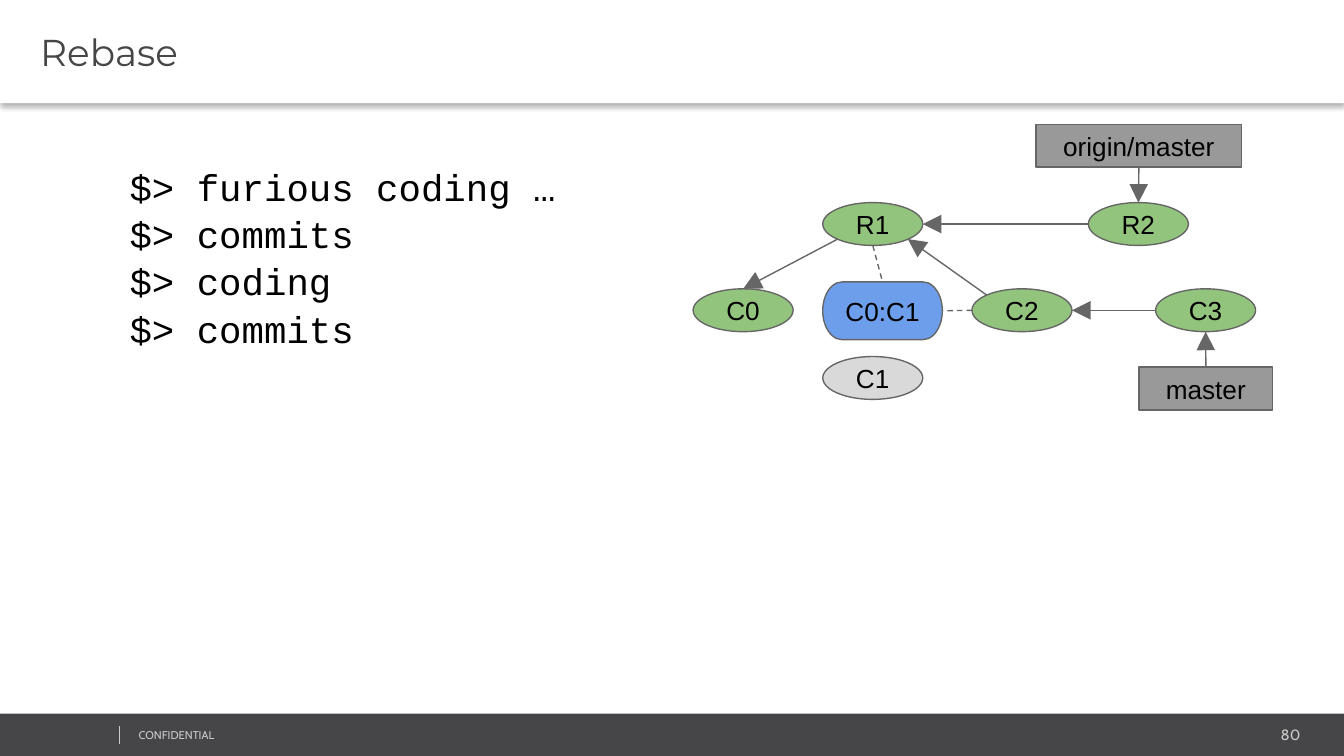
from lxml import etree
from pptx import Presentation
from pptx.dml.color import RGBColor
from pptx.enum.dml import MSO_LINE
from pptx.enum.shapes import MSO_CONNECTOR, MSO_SHAPE
from pptx.enum.text import MSO_ANCHOR, MSO_AUTO_SIZE, PP_ALIGN
from pptx.oxml.ns import qn
from pptx.util import Cm, Pt

LEFT, CENTER, RIGHT = PP_ALIGN.LEFT, PP_ALIGN.CENTER, PP_ALIGN.RIGHT
TOP, MIDDLE = MSO_ANCHOR.TOP, MSO_ANCHOR.MIDDLE
OVAL, BOX, TERMINATOR = MSO_SHAPE.OVAL, MSO_SHAPE.RECTANGLE, MSO_SHAPE.FLOWCHART_TERMINATOR
STRAIGHT, DASH, NO_FIT = MSO_CONNECTOR.STRAIGHT, MSO_LINE.DASH, MSO_AUTO_SIZE.NONE
TITLE_ONLY = 5

COLORS = {
    "white": "FFFFFF", "black": "000000", "dark": "464547", "muted": "CCCCCC",
    "outline": "666666", "commit": "93C47D", "dropped": "D9D9D9",
    "branch": "999999", "squash": "6D9EEB",
}
SITES = {
    "top": (0.5, 0), "bottom": (0.5, 1), "left": (0, 0.5), "right": (1, 0.5),
    "top left": (0.15, 0.15), "bottom left": (0.15, 0.85), "bottom right": (0.85, 0.85),
}
COMMIT_SIZE = (1.89, 0.81)
UPPER_ROW, LOWER_ROW = 3.83, 5.46
NODES = {
    "C0": ("С0", OVAL, "commit", 13.1, LOWER_ROW, *COMMIT_SIZE),
    "C1": ("С1", OVAL, "dropped", 15.55, 6.74, *COMMIT_SIZE),
    "R1": ("R1", OVAL, "commit", 15.55, UPPER_ROW, *COMMIT_SIZE),
    "C2": ("С2", OVAL, "commit", 18.37, LOWER_ROW, *COMMIT_SIZE),
    "R2": ("R2", OVAL, "commit", 20.57, UPPER_ROW, *COMMIT_SIZE),
    "C3": ("С3", OVAL, "commit", 21.84, LOWER_ROW, *COMMIT_SIZE),
    "master": ("master", BOX, "branch", 21.53, 6.94, 2.52, 0.81),
    "origin": ("origin/master", BOX, "branch", 19.58, 2.35, 3.89, 0.81),
    "squash": ("C0:C1", TERMINATOR, "squash", 15.55, 5.33, 2.26, 1.09),
}
ARROWS = [
    ("R1", "bottom left", "C0", "top"),
    ("C2", "top left", "R1", "bottom right"),
    ("origin", "bottom", "R2", "top"),
    ("R2", "left", "R1", "right"),
    ("master", "top", "C3", "bottom"),
    ("C3", "left", "C2", "right"),
]
DASHED_LINKS = [("R1", "bottom", "squash", "top"), ("C2", "left", "squash", "right")]
COMMANDS = ["$> furious coding …", "$> commits", "$> coding", "$> commits"]


def rgb(name):
    return RGBColor.from_string(COLORS[name])


class SlideBuilder:
    """Holds the style and the current slide, and adds each kind of element."""

    def __init__(self, slide):
        self.slide = slide

    def set_text(self, shape, lines, font, size, color, align, anchor, margins, spacing=None):
        frame = shape.text_frame
        frame.word_wrap = True
        frame.auto_size = NO_FIT
        frame.vertical_anchor = anchor
        left, top, right, bottom = margins
        frame.margin_left, frame.margin_right = Cm(left), Cm(right)
        frame.margin_top, frame.margin_bottom = Cm(top), Cm(bottom)
        for index, line in enumerate(lines):
            paragraph = frame.add_paragraph() if index else frame.paragraphs[0]
            paragraph.text = line
            paragraph.alignment = align
            paragraph.line_spacing = spacing
            paragraph.font.name = font
            paragraph.font.size = Pt(size)
            paragraph.font.color.rgb = rgb(color)

    def title(self, text):
        title = self.slide.shapes.title
        title.left, title.top, title.width, title.height = Cm(0), Cm(0), Cm(25.4), Cm(1.95)
        title.fill.solid()
        title.fill.fore_color.rgb = rgb("white")
        effects = etree.SubElement(title._element.spPr, qn("a:effectLst"))
        shadow = etree.SubElement(effects, qn("a:outerShdw"), blurRad=str(Pt(3.1)),
                                  dist=str(Pt(2)), dir="5400000", algn="t", rotWithShape="0")
        color = etree.SubElement(shadow, qn("a:srgbClr"), val=COLORS["black"])
        etree.SubElement(color, qn("a:alpha"), val="30000")
        self.set_text(title, [text], "Montserrat", 20, "dark", LEFT, MIDDLE,
                      (0.76, 0.1, 0.18, 0.1))

    def text(self, lines, left, top, width, height, **style):
        box = self.slide.shapes.add_textbox(Cm(left), Cm(top), Cm(width), Cm(height))
        self.set_text(box, lines, anchor=TOP, **style)

    def shape(self, kind, fill, left, top, width, height, outline=None):
        shape = self.slide.shapes.add_shape(kind, Cm(left), Cm(top), Cm(width), Cm(height))
        shape.shadow.inherit = False
        shape.fill.solid()
        shape.fill.fore_color.rgb = rgb(fill)
        if outline:
            shape.line.color.rgb = rgb(outline)
            shape.line.width = Pt(0.75)
        else:
            shape.line.fill.background()
        return shape

    def node(self, label, kind, fill, *place):
        shape = self.shape(kind, fill, *place, outline="outline")
        self.set_text(shape, [label], "Arial", 14, "black", CENTER, MIDDLE, (0.25,) * 4)
        return shape

    def line(self, start, end, color="outline", width=0.75):
        connector = self.slide.shapes.add_connector(STRAIGHT, *start, *end)
        connector.line.color.rgb = rgb(color)
        connector.line.width = Pt(width)
        etree.SubElement(connector._element.spPr, qn("a:effectLst"))
        return connector

    def link(self, source, source_site, target, target_site, dashed=False):
        ends = []
        for shape, site in ((source, source_site), (target, target_site)):
            across, down = SITES[site]
            ends.append((int(shape.left + across * shape.width),
                         int(shape.top + down * shape.height)))
        connector = self.line(*ends)
        if dashed:
            connector.line.dash_style = DASH
        else:
            outline = connector._element.spPr.find(qn("a:ln"))
            etree.SubElement(outline, qn("a:tailEnd"), type="triangle", w="lg", len="lg")

    def footer(self, label, number):
        self.shape(BOX, "dark", 0, 13.49, 25.4, 0.8)
        style = {"font": "Cabin", "color": "muted", "margins": (0.18, 0.1, 0.18, 0.1)}
        self.text([number], 20.62, 13.61, 4.14, 0.53, size=8, align=RIGHT, **style)
        self.text([label], 2.44, 13.67, 6.43, 0.46, size=6, align=LEFT, **style)
        self.line((Cm(2.26), Cm(13.72)), (Cm(2.26), Cm(14.06)), "muted", 0.25)


def main():
    presentation = Presentation()
    presentation.slide_width, presentation.slide_height = Cm(25.4), Cm(14.29)
    slide = presentation.slides.add_slide(presentation.slide_layouts[TITLE_ONLY])
    builder = SlideBuilder(slide)
    builder.footer("CONFIDENTIAL", "80")
    builder.title("Rebase")
    builder.text(COMMANDS, 2.2, 2.82, 11.1, 4.14, font="Courier New", size=20, color="black",
                 align=LEFT, margins=(0.25,) * 4, spacing=1.05)
    nodes = {name: builder.node(*details) for name, details in NODES.items()}
    for links, dashed in ((ARROWS, False), (DASHED_LINKS, True)):
        for source, source_site, target, target_site in links:
            builder.link(nodes[source], source_site, nodes[target], target_site, dashed)
    presentation.save("out.pptx")


if __name__ == "__main__":
    main()
